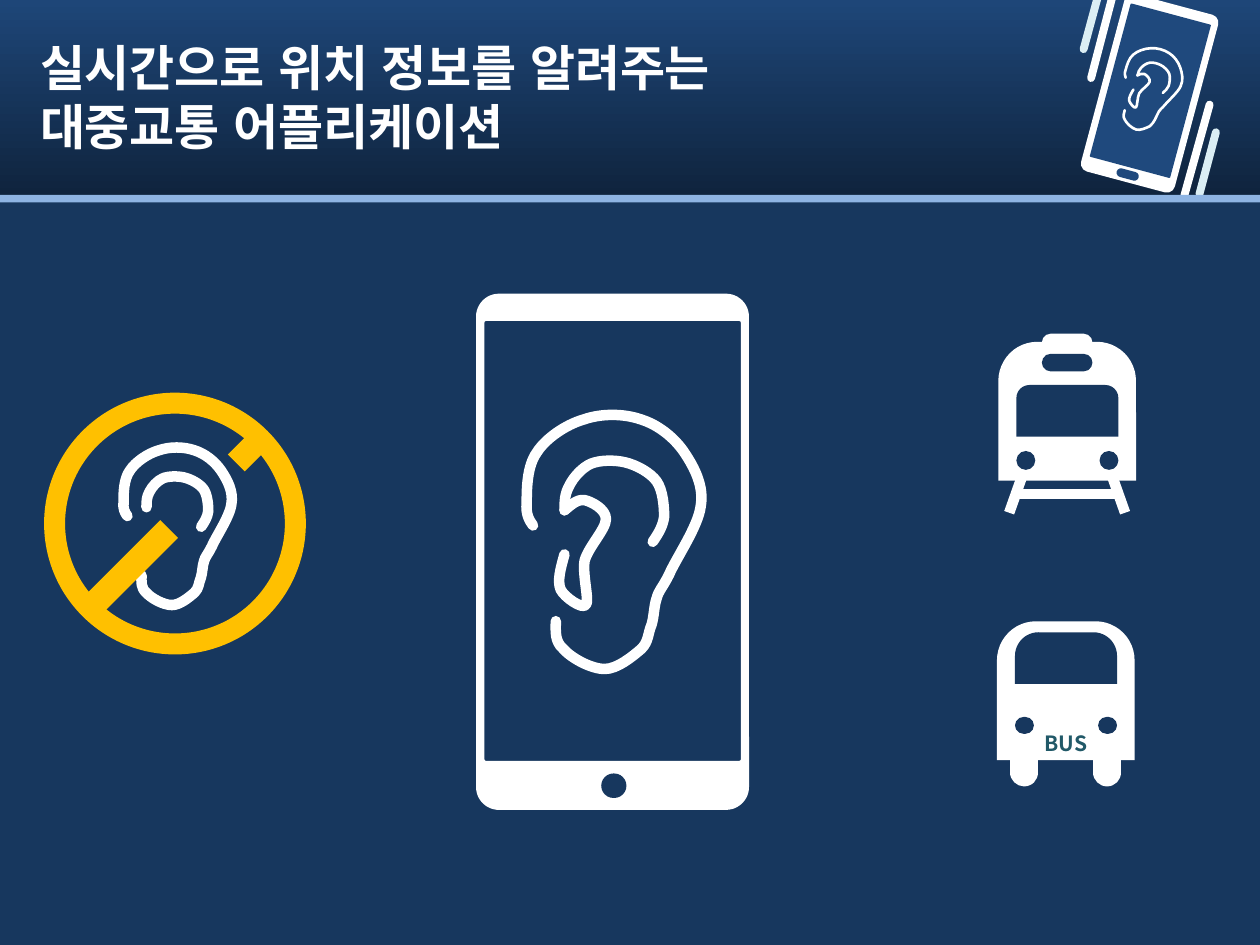
from dataclasses import dataclass
from typing import Optional

from pptx import Presentation
from pptx.dml.color import RGBColor
from pptx.enum.shapes import MSO_CONNECTOR, MSO_SHAPE
from pptx.enum.text import MSO_AUTO_SIZE, PP_ALIGN
from pptx.oxml.ns import qn
from pptx.oxml.xmlchemy import OxmlElement
from pptx.util import Pt

RECT = MSO_SHAPE.RECTANGLE
ROUNDED = MSO_SHAPE.ROUNDED_RECTANGLE
ROUND_TOP = MSO_SHAPE.ROUND_2_SAME_RECTANGLE
OVAL = MSO_SHAPE.OVAL
STRAIGHT = MSO_CONNECTOR.STRAIGHT
LEFT, CENTER = PP_ALIGN.LEFT, PP_ALIGN.CENTER

WHITE = RGBColor(0xFF, 0xFF, 0xFF)
NAVY = RGBColor(0x17, 0x37, 0x5E)
BLUE = RGBColor(0x1F, 0x49, 0x7D)
HEADER_TOP = RGBColor(0x1E, 0x46, 0x78)
HEADER_BOTTOM = RGBColor(0x0F, 0x24, 0x3E)
SKY = RGBColor(0x8E, 0xB4, 0xE3)
ICE = RGBColor(0xDB, 0xEE, 0xF4)
TEAL = RGBColor(0x21, 0x59, 0x68)
GOLD = RGBColor(0xFF, 0xC0, 0x00)

TILT = 15

# Ear strokes: a start point, then Bezier triples (two controls and an end).
EAR_RIM = [
    (3.6, 63.4),
    (1.4, 60.5), (-0.7, 56.9), (0, 50.4),
    (0, 43.2), (0, 29.5), (5.8, 21.6),
    (10.8, 13.7), (22.3, 5.8), (32.4, 2.9),
    (42.5, -0.7), (55.4, -0.7), (65.5, 2.9),
    (74.9, 5.8), (84.2, 13), (90, 21.6),
    (95.8, 30.2), (101.5, 41), (99.4, 52.6),
    (97.9, 64.1), (85, 82.8), (81.4, 91.4),
    (77, 100.1), (75.6, 100.1), (74.2, 105.1),
    (72.7, 109.4), (72.7, 115.9), (71.3, 120.2),
    (69.1, 125.3), (69.8, 129.6), (65.5, 133.9),
    (60.5, 138.2), (51.8, 145.4), (44.6, 145.4),
    (36.7, 145.4), (25.2, 139), (20.9, 133.9),
    (15.8, 129.6), (16.6, 123.8), (16.6, 118.1),
]
EAR_FOLD = [
    (0, 28.8),
    (0, 23.8), (0, 19.4), (2.9, 14.4),
    (5, 10.1), (10.1, 4.3), (15.1, 2.2),
    (20.2, 0), (28.8, 0), (34.6, 1.4),
    (41, 2.9), (49, 7.2), (52.6, 12.2),
    (56.2, 17.3), (56.9, 26.6), (56.9, 32.4),
    (56.2, 38.2), (53.3, 42.5), (50.4, 46.8),
]
EAR_CANAL = [
    (2.9, 5.8),
    (6.5, 2.9), (10.1, -0.7), (14.4, 0),
    (18, 0.7), (26.6, 5), (26.6, 10.8),
    (26.6, 16.6), (16.6, 26.6), (14.4, 34.6),
    (13, 42.5), (17.3, 57.6), (15.1, 59.8),
    (13, 62.6), (2.9, 55.4), (0.7, 51.1),
    (-1.4, 46.1), (0.7, 38.9), (2.9, 31),
]


@dataclass(frozen=True)
class Box:
    left: float
    top: float
    width: float
    height: float


@dataclass(frozen=True)
class Vehicle:
    left: float
    top: float
    window_drop: float
    window_round: float
    light_drop: float
    light_height: float


def add_block(shapes, kind, box: Box, fill: Optional[RGBColor], adjust=(), rotation=0,
              outline: Optional[RGBColor] = None, weight: float = 0):
    block = shapes.add_shape(kind, Pt(box.left), Pt(box.top), Pt(box.width), Pt(box.height))
    block.shadow.inherit = False
    block.rotation = rotation
    for index, value in enumerate(adjust):
        block.adjustments[index] = value
    if fill is not None:
        block.fill.solid()
        block.fill.fore_color.rgb = fill
    if outline is None:
        block.line.fill.background()
    else:
        block.line.color.rgb = outline
        block.line.width = Pt(weight)
    return block


def style_stroke(stroke, color: RGBColor, weight: float, round_cap: bool) -> None:
    stroke.line.color.rgb = color
    stroke.line.width = Pt(weight)
    if round_cap:
        stroke._element.spPr.find(qn("a:ln")).set("cap", "rnd")


def add_bar(shapes, start, end, color: RGBColor, weight: float, round_cap=True) -> None:
    bar = shapes.add_connector(STRAIGHT, *(Pt(value) for value in (*start, *end)))
    style_stroke(bar, color, weight, round_cap)
    bar._element.spPr.append(OxmlElement("a:effectLst"))


def bend(stroke) -> None:
    """Turn every three line segments of a freeform into one cubic Bezier segment."""
    segments = list(stroke._element.iter(qn("a:lnTo")))
    for first, second, last in zip(segments[::3], segments[1::3], segments[2::3]):
        cubic = OxmlElement("a:cubicBezTo")
        first.addprevious(cubic)
        for segment in (first, second, last):
            cubic.append(segment[0])
            segment.getparent().remove(segment)


def add_curve(shapes, curve, left: float, top: float, scale: float, weight: float,
              rotation: float = 0) -> None:
    points = [(Pt(left + x * scale), Pt(top + y * scale)) for x, y in curve]
    builder = shapes.build_freeform(*points[0])
    builder.add_line_segments(points[1:], close=False)
    stroke = builder.convert_to_shape()
    bend(stroke)
    stroke.shadow.inherit = False
    stroke.fill.background()
    stroke.rotation = rotation
    style_stroke(stroke, WHITE, weight, round_cap=True)


def add_text(shapes, text: str, box: Box, *, font: str, size: float, color: RGBColor,
             align=LEFT) -> None:
    frame = shapes.add_textbox(Pt(box.left), Pt(box.top), Pt(box.width), Pt(box.height)).text_frame
    frame.word_wrap = False
    frame.auto_size = MSO_AUTO_SIZE.SHAPE_TO_FIT_TEXT
    frame.text = text
    for paragraph in frame.paragraphs:
        paragraph.alignment = align
        style = paragraph.runs[0].font
        style.name, style.size, style.bold = font, Pt(size), True
        style.color.rgb = color
        east_asian = OxmlElement("a:ea")
        east_asian.set("typeface", font)
        paragraph.runs[0]._r.get_or_add_rPr().append(east_asian)


def add_phone(shapes, case: Box, screen: Box, button: Box, color: RGBColor, rotation=0,
              screen_outline: Optional[RGBColor] = None) -> None:
    add_block(shapes, ROUNDED, case, WHITE, [0.084], rotation)
    add_block(shapes, ROUNDED, screen, color, [0.013], rotation, screen_outline, 2)
    add_block(shapes, ROUNDED, button, color, [0.5], rotation)


def add_vehicle(shapes, vehicle: Vehicle) -> None:
    left, top = vehicle.left, vehicle.top
    add_block(shapes, ROUND_TOP, Box(left, top, 78.7, 79.4), WHITE, [0.284, 0])
    add_block(shapes, ROUND_TOP, Box(left + 10.3, top + vehicle.window_drop, 58.3, 29.5),
              NAVY, [vehicle.window_round, 0])
    for offset in (10.3, 57.8):
        add_block(shapes, ROUND_TOP,
                  Box(left + offset, top + vehicle.light_drop, 10.8, vehicle.light_height),
                  NAVY, [0.5, 0.5])


def draw_header(shapes) -> None:
    band = add_block(shapes, RECT, Box(0, 0, 720, 111.4), None)
    band.fill.gradient()
    band.fill.gradient_angle = 270
    for stop, color in zip(band.fill.gradient_stops, (HEADER_TOP, HEADER_BOTTOM)):
        stop.color.rgb = color
    emblem = shapes.add_group_shape().shapes
    add_phone(emblem, Box(629.3, 0.7, 55.4, 105.1), Box(633.6, 6.5, 47.5, 90.7),
              Box(637.9, 97.2, 13, 5), BLUE, TILT)
    for curve, left, top in ((EAR_CANAL, 646.6, 41.8), (EAR_FOLD, 650.2, 36),
                             (EAR_RIM, 640.8, 27.4)):
        add_curve(emblem, curve, left, top, 0.33, 1.5, TILT)
    for start, end, color in (((637.2, -7.9), (623.5, 44.6), WHITE),
                              ((628.6, -6.5), (619.2, 28.1), ICE),
                              ((676.8, 111.6), (691.2, 59.8), WHITE),
                              ((685.4, 110.9), (694.8, 75.6), ICE)):
        add_bar(emblem, start, end, color, 4.5)
    add_block(shapes, RECT, Box(0, 111.4, 720, 4.3), SKY)
    add_text(shapes, "실시간으로 위치 정보를 알려주는\n대중교통 어플리케이션",
             Box(15.8, 18, 440.6, 74.9), font="Arial", size=28, color=WHITE)


def draw_bus(shapes) -> None:
    for x in (585.4, 632.7):
        add_bar(shapes, (x, 419), (x, 441.4), WHITE, 16)
    add_vehicle(shapes, Vehicle(569.7, 355, 6.3, 0.456, 54.7, 9.6))
    add_text(shapes, "BUS", Box(589.7, 414, 38.9, 21.6), font="Noto Sans CJK KR", size=12,
             color=TEAL, align=CENTER)


def draw_train(shapes) -> None:
    middle = 609.8
    for side in (-1, 1):
        add_bar(shapes, (middle + side * 25.2, 270.7), (middle + side * 33.1, 293), WHITE, 6, False)
        add_bar(shapes, (middle + side * 29, 282.2), (middle - side * 0.7, 282.2), WHITE, 6, False)
    add_vehicle(shapes, Vehicle(570.5, 195.3, 24.7, 0.252, 62.4, 10.8))
    for top, color in ((202.2, NAVY), (190.7, WHITE)):
        add_block(shapes, ROUND_TOP, Box(595.4, top, 28.9, 10), color, [0.5, 0.5])


def draw_deaf_sign(shapes) -> None:
    add_block(shapes, OVAL, Box(31.2, 230.4, 137.6, 137.6), NAVY, outline=GOLD, weight=12)
    add_curve(shapes, EAR_FOLD, 83.7, 272, 0.62, 6)
    add_curve(shapes, EAR_RIM, 70.6, 255.6, 0.62, 6)
    for slash in (Box(136.1, 245.5, 13.7, 22.3), Box(67, 293, 14.4, 63.4)):
        add_block(shapes, RECT, slash, GOLD, rotation=45)


def draw_phone(shapes) -> None:
    add_phone(shapes, Box(272, 167.8, 156, 295), Box(275.8, 182.4, 148.6, 253.4),
              Box(343.6, 442, 14.4, 14), NAVY, screen_outline=WHITE)


def draw_phone_ear(shapes) -> None:
    for curve, left, top in ((EAR_CANAL, 319.7, 285.8), (EAR_FOLD, 322.6, 262.8),
                             (EAR_RIM, 301, 236.9)):
        add_curve(shapes, curve, left, top, 1, 6)


def main() -> None:
    deck = Presentation()
    deck.slide_width, deck.slide_height = Pt(720), Pt(540)
    slide = deck.slides.add_slide(deck.slide_layouts[6])
    slide.background.fill.solid()
    slide.background.fill.fore_color.rgb = NAVY
    draw_header(slide.shapes)
    for draw in (draw_phone, draw_bus, draw_train, draw_deaf_sign, draw_phone_ear):
        draw(slide.shapes.add_group_shape().shapes)
    deck.save("out.pptx")


if __name__ == "__main__":
    main()
